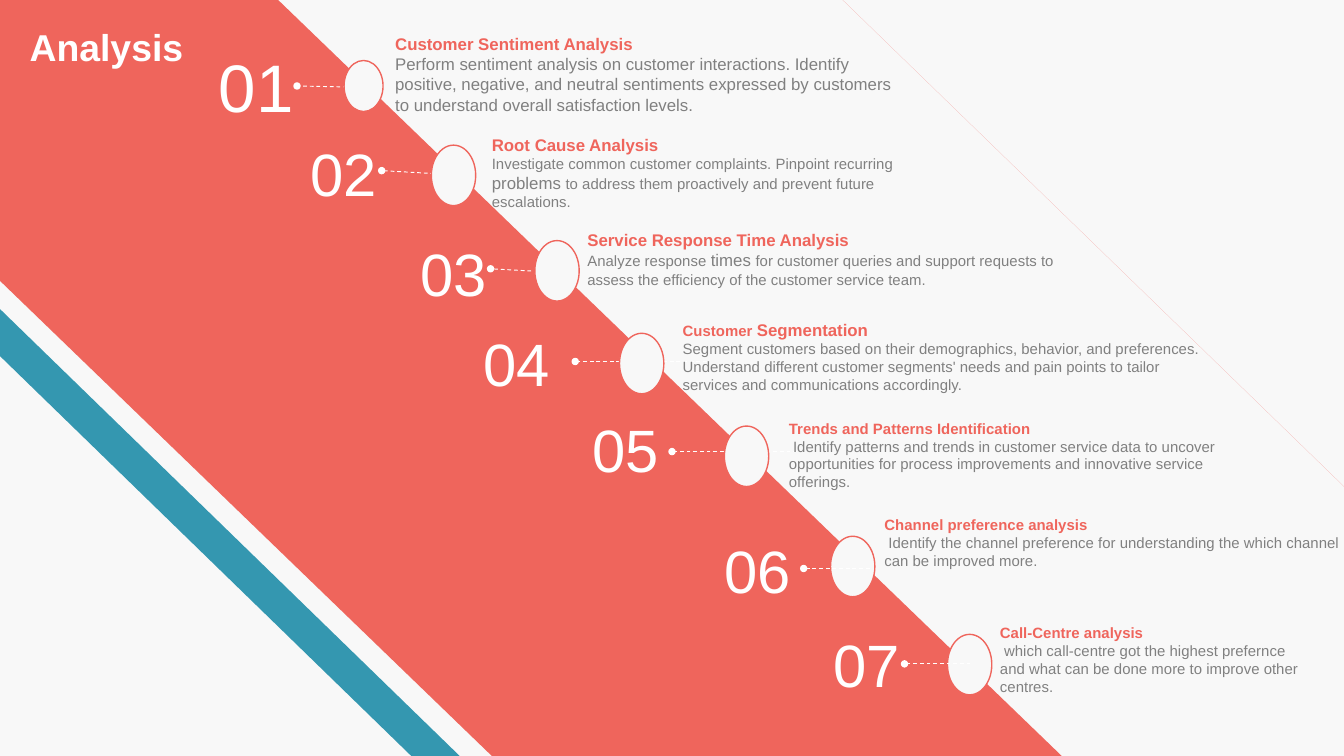
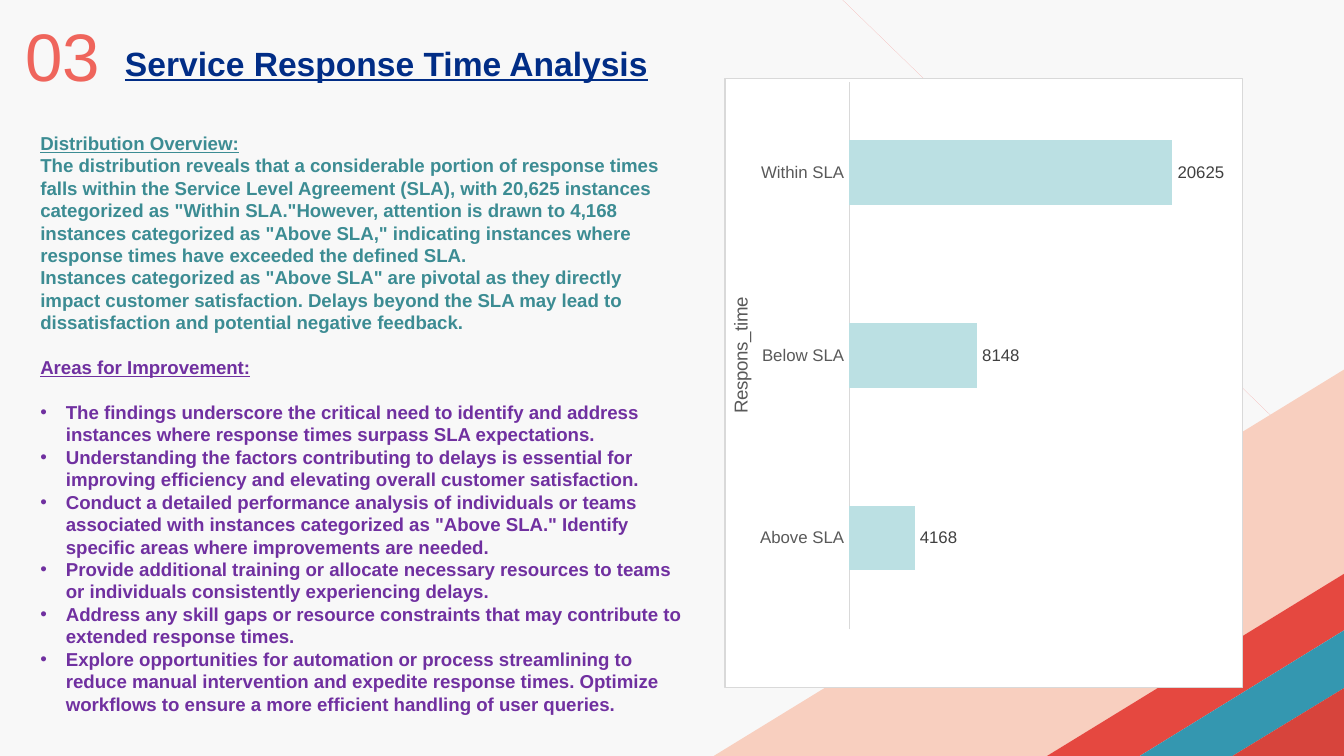
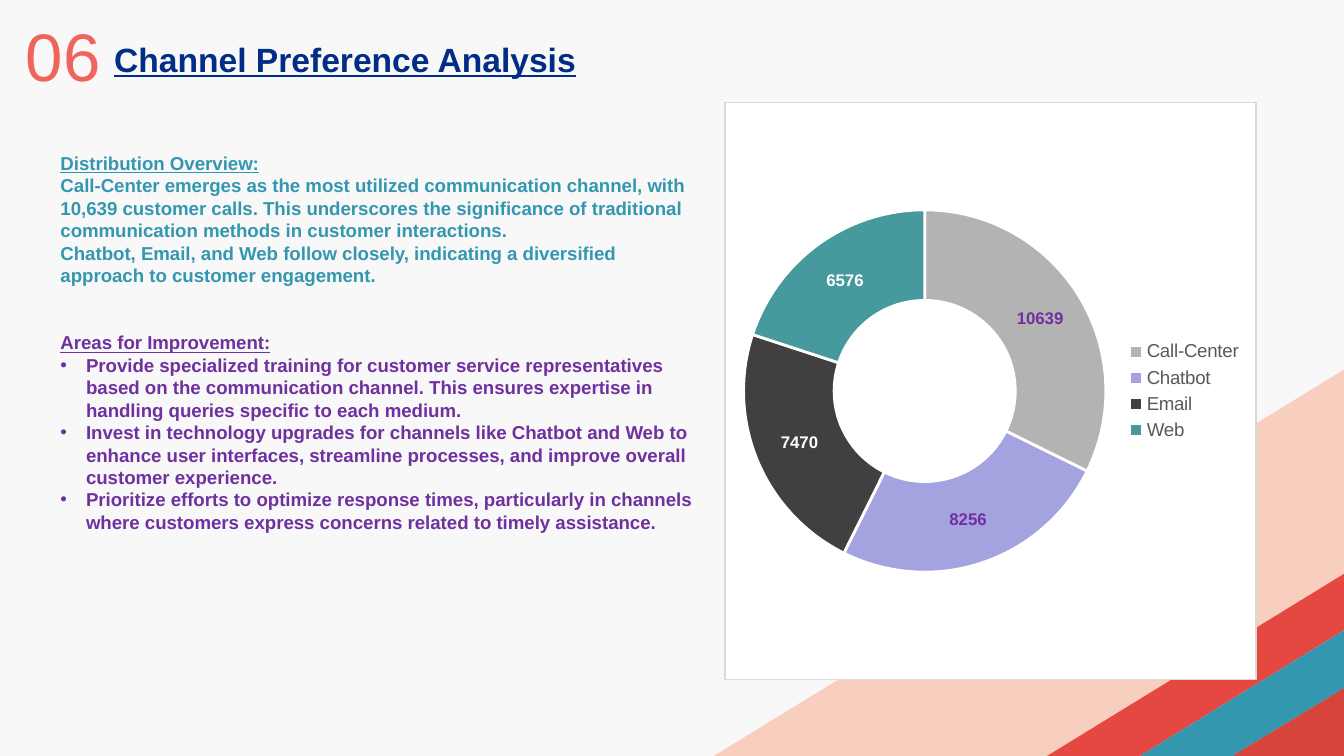
from dataclasses import dataclass

import lxml.etree
import pptx
import pptx.chart.data
import pptx.dml.color
import pptx.enum.chart
import pptx.enum.dml
import pptx.enum.shapes
import pptx.enum.text
import pptx.oxml.ns
import pptx.util

Inches = pptx.util.Inches
Pt = pptx.util.Pt
qn = pptx.oxml.ns.qn


@dataclass(frozen=True)
class Theme:
    font: str = "Arial"
    background: str = "F8F8F8"
    white: str = "FFFFFF"
    coral: str = "EF655C"
    hairline: str = "F28680"
    teal: str = "3497B0"
    green: str = "3C8C93"
    purple: str = "7030A0"
    grey: str = "808080"
    axis_text: str = "595959"
    label_text: str = "404040"
    border: str = "D9D9D9"
    bar: str = "BBE0E3"
    title_from: str = "012D86"
    title_to: str = "0E2557"
    corner: tuple = ("F8CFBF", "E54840", "3497B0", "D7443C")
    slices: tuple = ("B3B3B3", "A3A3E0", "404040", "46999D")
    cover_size: int = 20
    title_size: int = 18
    number_size: int = 36
    step_size: int = 32
    body_size: int = 10
    label_size: int = 9
    small_size: int = 8


THEME = Theme()
WIDTH = 10
HEIGHT = WIDTH * 9 / 16


def rgb(colour):
    return pptx.dml.color.RGBColor.from_string(colour)


def add_xml(parent, tag, **attributes):
    return lxml.etree.SubElement(parent, qn(tag), attributes)


class Deck:
    """Holds the style and the current slide."""

    def __init__(self, theme):
        self.theme = theme
        self.prs = pptx.Presentation()
        self.prs.slide_width, self.prs.slide_height = Inches(WIDTH), Inches(HEIGHT)
        self.fill(self.prs.slide_master.background, theme.background)
        self.slide = None

    def new_slide(self, layout):
        self.slide = self.prs.slides.add_slide(self.prs.slide_layouts.get_by_name(layout))

    # Text
    def fill(self, target, colour):
        target.fill.solid()
        target.fill.fore_color.rgb = rgb(colour)

    def style(self, font, size, colour=None, bold=False):
        font.name, font.size, font.bold = self.theme.font, Pt(size), bold
        if colour:
            font.color.rgb = rgb(colour)

    def run(self, paragraph, text, size, colour=None, bold=False, underline=False):
        run = paragraph.add_run()
        run.text = text
        self.style(run.font, size, colour, bold)
        run.font.underline = underline
        return run

    def frame(self, shape, wrap=True, middle=False):
        anchors = pptx.enum.text.MSO_ANCHOR
        frame = shape.text_frame
        frame.word_wrap = wrap
        frame.auto_size = pptx.enum.text.MSO_AUTO_SIZE.NONE
        frame.vertical_anchor = anchors.MIDDLE if middle else anchors.TOP
        return frame

    def place(self, shape, box):
        shape.left, shape.top, shape.width, shape.height = map(Inches, box)
        self.slide.shapes._spTree.append(shape._element)  # bring to front

    def text_box(self, box, wrap=True):
        return self.frame(self.slide.shapes.add_textbox(*map(Inches, box)), wrap)

    def title(self, text, box, size, colour=None):
        title = self.slide.shapes.title
        self.place(title, box)
        paragraph = self.frame(title, wrap=not colour, middle=not colour).paragraphs[0]
        paragraph.alignment = pptx.enum.text.PP_ALIGN.LEFT
        run = self.run(paragraph, text, size, colour, bold=True, underline=not colour)
        if not colour:
            paragraph.line_spacing = 0.9
            run.font.fill.gradient()
            run.font.fill.gradient_angle = 0
            stops = run.font.fill.gradient_stops
            for stop, shade in zip(stops, (self.theme.title_from, self.theme.title_to)):
                stop.color.rgb = rgb(shade)

    def number(self, text, box, size, colour, centred=False):
        paragraph = self.text_box(box, wrap=centred).paragraphs[0]
        if centred:
            paragraph.alignment = pptx.enum.text.PP_ALIGN.CENTER
        self.run(paragraph, text, size, colour)

    def findings(self, box, colour, overview, points, gap_above, gap_below):
        """Overview paragraphs, then a bulleted list of improvements."""
        body = self.slide.placeholders[1]
        self.place(body, box)
        frame = self.frame(body)
        purple = self.theme.purple
        rows = [("Distribution Overview:", colour, True, False, 0)]
        rows += [(text, colour, False, False, 0) for text in overview]
        rows += [("Areas for Improvement:", purple, True, False, gap_above)]
        rows += [(text, purple, False, True, 0 if i else gap_below)
                 for i, text in enumerate(points)]
        for i, (text, shade, underline, bullet, gap) in enumerate(rows):
            paragraph = frame.add_paragraph() if i else frame.paragraphs[0]
            paragraph.space_before, paragraph.space_after = Pt(gap), Pt(0)
            self.run(paragraph, text, self.theme.body_size, shade, True, underline)
            properties = paragraph._p.get_or_add_pPr()
            indent = Inches(0.19) if bullet else 0
            properties.set("marL", str(indent))
            properties.set("indent", str(-indent))
            if bullet:
                add_xml(properties, "a:buFont", typeface=self.theme.font)
                add_xml(properties, "a:buChar", char="•")
            else:
                add_xml(properties, "a:buNone")

    def note(self, box, heading, description):
        frame = self.text_box(box)
        frame.margin_left = frame.margin_right = frame.margin_top = frame.margin_bottom = 0
        for text, size in heading:
            self.run(frame.paragraphs[0], text, size, self.theme.coral, bold=True)
        paragraph = frame.add_paragraph()
        for text, size in description:
            self.run(paragraph, text, size, self.theme.grey)

    # Shapes
    def polygon(self, points, colour):
        start, *rest = [(Inches(x), Inches(y)) for x, y in points]
        builder = self.slide.shapes.build_freeform(*start)
        builder.add_line_segments(rest)
        outline = builder.convert_to_shape()
        outline.shadow.inherit = False
        self.fill(outline, colour)
        outline.line.fill.background()

    def hairline(self):
        self.polygon([(6.27, 0), (6.27, 0), (10.01, 3.63), (10.01, 3.63)],
                     self.theme.hairline)

    def corner_bands(self):
        # Each edge runs from the slide bottom (x) to its right side (y)
        edges = [(5.31, 2.75), (7.79, 4.27), (8.48, 4.69), (9.17, 5.12), (WIDTH, HEIGHT)]
        for (x1, y1), (x2, y2), colour in zip(edges, edges[1:], self.theme.corner):
            self.polygon([(x1, HEIGHT), (WIDTH, y1), (WIDTH, y2), (x2, HEIGHT)], colour)

    def oval(self, box):
        kind = pptx.enum.shapes.MSO_SHAPE.OVAL
        oval = self.slide.shapes.add_shape(kind, *map(Inches, box))
        oval.shadow.inherit = False
        self.fill(oval, self.theme.background)
        oval.line.color.rgb = rgb(self.theme.coral)
        oval.line.width = Pt(0.75)

    def pin(self, ends):
        kind = pptx.enum.shapes.MSO_CONNECTOR.STRAIGHT
        pin = self.slide.shapes.add_connector(kind, *map(Inches, ends))
        pin.line.color.rgb = rgb(self.theme.white)
        pin.line.width = Pt(0.5)
        pin.line.dash_style = pptx.enum.dml.MSO_LINE.DASH
        properties = pin._element.spPr
        add_xml(properties.find(qn("a:ln")), "a:tailEnd", type="oval", w="sm", len="sm")
        add_xml(properties, "a:effectLst")

    # Charts
    def chart(self, kind, box, categories, values):
        data = pptx.chart.data.CategoryChartData()
        data.categories = categories
        data.add_series("Series 1", values)
        chart = self.slide.shapes.add_chart(kind, *map(Inches, box), data).chart
        chart.has_title = chart.has_legend = False
        self.style(chart.font, self.theme.body_size)
        # White panel with a thin border
        panel = lxml.etree.Element(qn("c:spPr"))
        chart._chartSpace.find(qn("c:chart")).addnext(panel)
        line = lxml.etree.Element(qn("a:ln"), {"w": str(Pt(0.75))})
        for parent, colour in ((panel, self.theme.white), (line, self.theme.border)):
            add_xml(add_xml(parent, "a:solidFill"), "a:srgbClr", val=colour)
        panel.append(line)
        return chart

    def bar_chart(self, box, axis_name, categories, values):
        theme = self.theme
        chart = self.chart(pptx.enum.chart.XL_CHART_TYPE.BAR_CLUSTERED, box, categories, values)
        plot = chart.plots[0]
        plot.gap_width, plot.vary_by_categories = 182, False
        self.fill(plot.series[0].format, theme.bar)
        labels = plot.series[0].data_labels
        labels.show_value = True
        labels.position = pptx.enum.chart.XL_LABEL_POSITION.OUTSIDE_END
        self.style(labels.font, theme.label_size, theme.label_text)

        scale = chart.value_axis
        scale.minimum_scale, scale.maximum_scale = 0, 25000
        scale.has_major_gridlines = scale.visible = False
        axis = chart.category_axis
        axis.major_tick_mark = pptx.enum.chart.XL_TICK_MARK.NONE
        axis.format.line.color.rgb = rgb(theme.border)
        axis.format.line.width = Pt(0.75)
        self.style(axis.tick_labels.font, theme.label_size, theme.axis_text)
        frame = axis.axis_title.text_frame
        self.run(frame.paragraphs[0], axis_name, theme.body_size, theme.axis_text)
        frame._txBody.bodyPr.set("rot", "-5400000")
        frame._txBody.bodyPr.set("vert", "horz")

        # Fixed inner plot area
        area = chart._chartSpace.find(".//" + qn("c:plotArea"))
        for old in area.findall(qn("c:layout")):
            area.remove(old)
        layout = lxml.etree.Element(qn("c:layout"))
        area.insert(0, layout)
        manual = add_xml(layout, "c:manualLayout")
        for tag, value in (("layoutTarget", "inner"), ("xMode", "edge"), ("yMode", "edge"),
                           ("x", "0.24"), ("y", "0.005"), ("w", "0.757"), ("h", "0.9")):
            add_xml(manual, "c:" + tag, val=value)

    def doughnut_chart(self, box, categories, values):
        theme = self.theme
        chart = self.chart(pptx.enum.chart.XL_CHART_TYPE.DOUGHNUT, box, categories, values)
        chart.has_legend = True
        chart.legend.position = pptx.enum.chart.XL_LEGEND_POSITION.RIGHT
        chart.legend.include_in_layout = False
        self.style(chart.legend.font, theme.body_size, theme.axis_text)
        chart._chartSpace.find(".//" + qn("c:holeSize")).set("val", "75")
        plot = chart.plots[0]
        plot.vary_by_categories = True
        channels = plot.series[0]
        channels.data_labels.show_value = True
        channels.data_labels.show_percentage = False
        self.style(channels.data_labels.font, theme.label_size, theme.purple, True)
        label_colours = (theme.purple, theme.purple, theme.white, theme.white)
        for i, (colour, label_colour) in enumerate(zip(theme.slices, label_colours)):
            point = channels.points[i]
            self.fill(point.format, colour)
            point.format.line.color.rgb = rgb(theme.white)
            point.format.line.width = Pt(1.5)
            self.style(point.data_label.font, theme.label_size, label_colour, True)


NORMAL, SMALL = THEME.label_size, THEME.small_size

# Per step: number corner, pin ends, oval corner, note box, heading runs, description runs
STEPS = [
    ((1.53, 0.29), (2.73, 0.65, 2.21, 0.64), (2.56, 0.45), (2.94, 0.25, 3.79, 0.68),
     [("Customer Sentiment Analysis", NORMAL)],
     [("Perform sentiment analysis on customer interactions. Identify positive, negative, and "
       "neutral sentiments expressed by customers to understand overall satisfaction levels.",
       NORMAL)]),
    ((2.21, 0.97), (3.38, 1.3, 2.84, 1.27), (3.21, 1.08), (3.66, 1, 3.04, 0.57),
     [("Root Cause Analysis", NORMAL)],
     [("Investigate common customer complaints. Pinpoint recurring ", SMALL),
      ("problems ", NORMAL),
      ("to address them proactively and prevent future escalations.", SMALL)]),
    ((3.03, 1.71), (4.2, 2.03, 3.65, 2), (3.98, 1.79), (4.37, 1.71, 3.75, 0.44),
     [("Service Response Time Analysis", NORMAL)],
     [("Analyze response ", SMALL), ("times ", NORMAL),
      ("for customer queries and support requests to assess the efficiency of the customer "
       "service team.", SMALL)]),
    ((3.5, 2.38), (5.26, 2.69, 4.28, 2.69), (4.61, 2.48), (5.08, 2.38, 3.9, 0.55),
     [("Customer ", SMALL), ("Segmentation", NORMAL)],
     [("Segment customers based on their demographics, behavior, and preferences. Understand "
       "different customer segments' needs and pain points to tailor services and "
       "communications accordingly.", SMALL)]),
    ((4.31, 3.02), (5.98, 3.36, 5, 3.36), (5.39, 3.17), (5.87, 3.12, 3.52, 0.54),
     [("Trends and Patterns Identification", SMALL)],
     [(" Identify patterns and trends in customer service data to uncover opportunities for "
       "process improvements and innovative service offerings.", SMALL)]),
    ((5.29, 3.92), (6.47, 4.23, 5.98, 4.23), (6.18, 3.99), (6.58, 3.84, 3.52, 0.4),
     [("Channel preference analysis", SMALL)],
     [(" Identify the channel preference for understanding the which channel can be improved "
       "more.", SMALL)]),
    ((6.1, 4.62), (7.22, 4.94, 6.73, 4.94), (7.05, 4.72), (7.44, 4.64, 2.32, 0.54),
     [("Call-Centre analysis", SMALL)],
     [(" which call-centre got the highest prefernce and what can be done more to improve "
       "other centres.", SMALL)]),
]
PINS_BEHIND = 5  # the later pins lie over their ovals


def analysis_slide(deck):
    theme = deck.theme
    deck.new_slide("Title Only")
    deck.hairline()
    deck.polygon([(0, 2.09), (3.66, HEIGHT), (7.9, HEIGHT), (2.07, 0), (0, 0)], theme.coral)
    deck.polygon([(3.06, HEIGHT), (3.42, HEIGHT), (0, 2.3), (0, 2.65)], theme.teal)
    deck.title("Analysis", (0.12, 0.13, 1.42, 0.44), theme.cover_size, theme.white)
    for i, (number, pin, oval, note, heading, description) in enumerate(STEPS, 1):
        first = i == 1
        number_size = (0.82, 0.77) if first else (0.69, 0.64)
        oval_size = (0.29, 0.38) if first else (0.33, 0.45)
        deck.number(f"{i:02}", number + number_size,
                    theme.number_size if first else theme.step_size, theme.white)
        marks = [(deck.pin, pin), (deck.oval, oval + oval_size)]
        for draw, where in marks if i <= PINS_BEHIND else reversed(marks):
            draw(where)
        deck.note(note, heading, description)


def response_time_slide(deck):
    theme = deck.theme
    deck.new_slide("Title and Content")
    deck.hairline()
    deck.corner_bands()
    deck.number("03", (0.04, 0.06, 0.85, 0.71), theme.number_size, theme.coral, centred=True)
    deck.title("Service Response Time Analysis", (0.83, 0.13, 4.74, 0.71), theme.title_size)
    deck.findings(
        (0.2, 0.93, 4.98, 4.19), theme.green,
        ["The distribution reveals that a considerable portion of response times falls within "
         "the Service Level Agreement (SLA), with 20,625 instances categorized as \"Within "
         "SLA.\"However, attention is drawn to 4,168 instances categorized as \"Above SLA,\" "
         "indicating instances where response times have exceeded the defined SLA.",
         "Instances categorized as \"Above SLA\" are pivotal as they directly impact customer "
         "satisfaction. Delays beyond the SLA may lead to dissatisfaction and potential "
         "negative feedback."],
        ["The findings underscore the critical need to identify and address instances where "
         "response times surpass SLA expectations.",
         "Understanding the factors contributing to delays is essential for improving "
         "efficiency and elevating overall customer satisfaction.",
         "Conduct a detailed performance analysis of individuals or teams associated with "
         "instances categorized as \"Above SLA.\" Identify specific areas where improvements "
         "are needed.",
         "Provide additional training or allocate necessary resources to teams or individuals "
         "consistently experiencing delays.",
         "Address any skill gaps or resource constraints that may contribute to extended "
         "response times.",
         "Explore opportunities for automation or process streamlining to reduce manual "
         "intervention and expedite response times. Optimize workflows to ensure a more "
         "efficient handling of user queries."],
        gap_above=12, gap_below=12)
    deck.bar_chart((5.39, 0.58, 3.86, 4.54), "Respons_time",
                   ["Above SLA", "Below SLA", "Within SLA"], [4168, 8148, 20625])


def channel_slide(deck):
    theme = deck.theme
    deck.new_slide("Title and Content")
    deck.corner_bands()
    deck.number("06", (0.04, 0.06, 0.86, 0.81), theme.number_size, theme.coral, centred=True)
    deck.title("Channel Preference Analysis", (0.75, 0.1, 6.73, 0.71), theme.title_size)
    deck.doughnut_chart((5.39, 0.76, 3.96, 4.3), ["Call-Center", "Chatbot", "Email", "Web"],
                        [10639, 8256, 7470, 6576])
    deck.findings(
        (0.35, 1.08, 4.99, 3.13), theme.teal,
        ["Call-Center emerges as the most utilized communication channel, with 10,639 customer "
         "calls. This underscores the significance of traditional communication methods in "
         "customer interactions.",
         "Chatbot, Email, and Web follow closely, indicating a diversified approach to "
         "customer engagement."],
        ["Provide specialized training for customer service representatives based on the "
         "communication channel. This ensures expertise in handling queries specific to each "
         "medium.",
         "Invest in technology upgrades for channels like Chatbot and Web to enhance user "
         "interfaces, streamline processes, and improve overall customer experience.",
         "Prioritize efforts to optimize response times, particularly in channels where "
         "customers express concerns related to timely assistance."],
        gap_above=24, gap_below=0)


def main():
    deck = Deck(THEME)
    analysis_slide(deck)
    response_time_slide(deck)
    channel_slide(deck)
    deck.prs.save("out.pptx")


if __name__ == "__main__":
    main()
